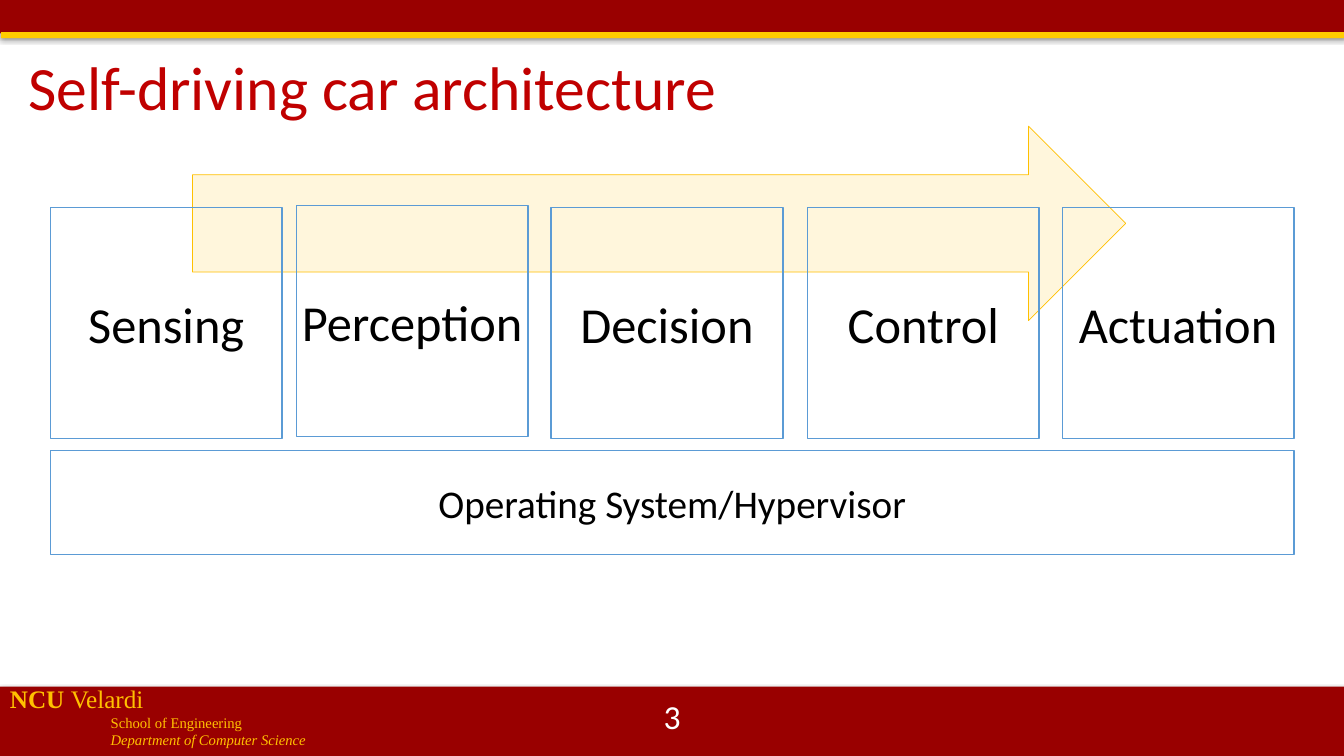
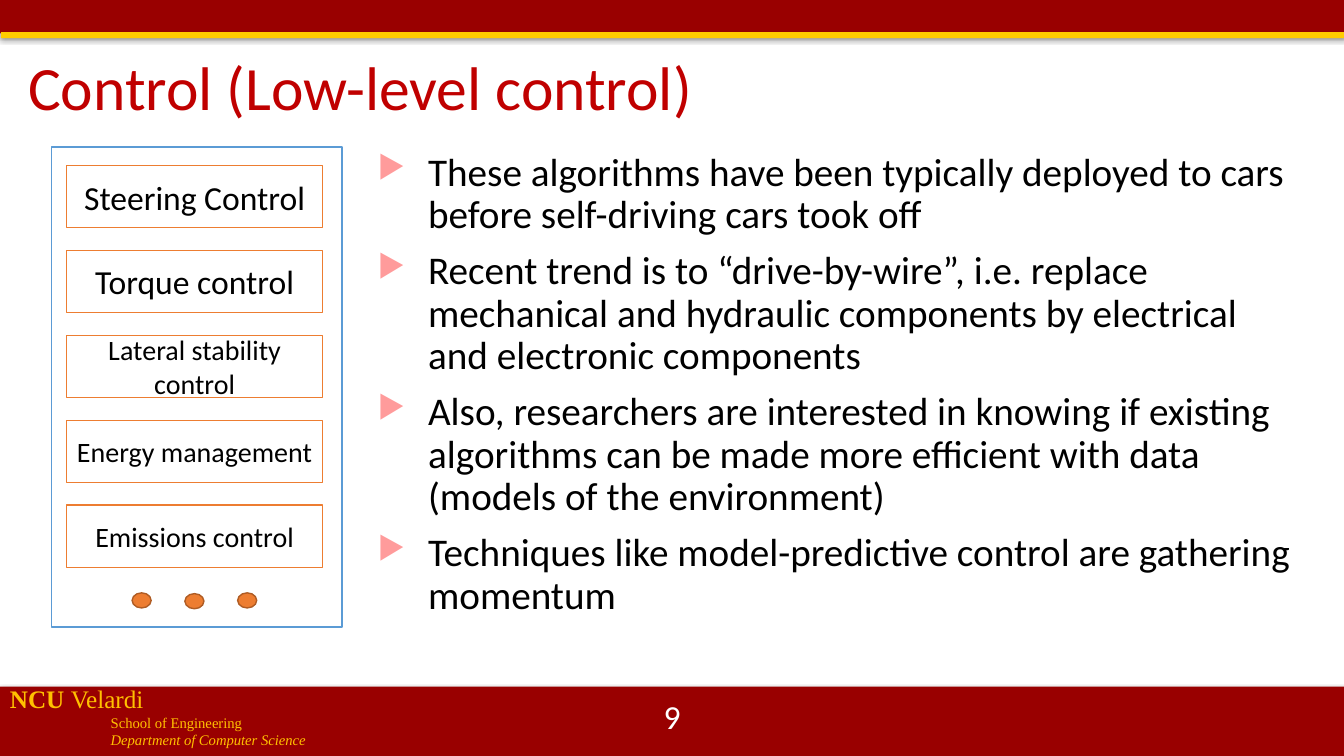
"""Build two slides on self-driving car architecture and low-level control."""
from lxml import etree
from pptx import Presentation
from pptx import util as u
from pptx.dml.color import RGBColor
from pptx.enum import shapes, text
from pptx.oxml import ns

Cm, Pt = u.Cm, u.Pt
COLORS = {
    "cardinal": "990000", "gold": "FFCC00", "footer": "FFC000", "title": "C00000",
    "black": "000000", "white": "FFFFFF", "blue": "5B9BD5", "orange": "ED7D31",
    "dot_edge": "AF5C24", "arrow": "FFF2CC", "bullet": "FF9B9B",
}
BANDS = [
    ((0, 0, 33.87, 0.84), "cardinal", 35, 1.8),
    ((0.03, 0.81, 33.87, 0.15), "gold", 38, 1.6),
    ((0, 17.3, 33.87, 1.75), "cardinal", 35, 1.8),
]
FOOTER = [
    ([("NCU ", True, False), ("Velardi", False, False)], 18, 0),
    ([("School of Engineering", False, False)], 10.5, 2.54),
    ([("Department of Computer Science", False, True)], 10.5, 2.54),
]
STAGES = [
    ("Sensing", 1.27, 5.23, 0.25),
    ("Perception", 7.47, 5.18, 0),
    ("Decision", 13.89, 5.23, 0.25),
    ("Control", 20.35, 5.23, 0.25),
    ("Actuation", 26.77, 5.23, 0.25),
]
PLATFORM = "Operating System/Hypervisor"
CONTROLS = [
    ("Steering Control", 24),
    ("Torque control", 24),
    ("Lateral stability control", 20),
    ("Energy management", 20),
    ("Emissions control", 20),
]
POINTS = [
    "These algorithms have been typically deployed to cars before self-driving cars took off",
    "Recent trend is to “drive-by-wire”, i.e. replace mechanical and hydraulic components "
    "by electrical and electronic components",
    "Also, researchers are interested in knowing if existing algorithms can be made more "
    "efficient with data (models of the environment)",
    "Techniques like model-predictive control are gathering momentum",
]
DOT_TOPS = [14.94, 14.96, 14.94]
RECT = shapes.MSO_SHAPE.RECTANGLE


def rgb(name):
    """Return the named colour."""
    return RGBColor.from_string(COLORS[name])


def add_xml(parent, tag, **attributes):
    """Append a DrawingML element and return it."""
    values = {key: str(value) for key, value in attributes.items()}
    return etree.SubElement(parent, ns.qn(tag), values)


def add_run(paragraph, content, size=28, color="black", font="Calibri", bold=False, italic=False):
    """Add formatted text to a paragraph."""
    run = paragraph.add_run()
    run.text = content
    run.font.name, run.font.size = font, Pt(size)
    run.font.bold, run.font.italic = bold, italic
    run.font.color.rgb = rgb(color)


def add_box(slide, box, kind=RECT, fill=None, line=None, width=1):
    """Add a preset shape without a shadow."""
    shape = slide.shapes.add_shape(kind, *map(Cm, box))
    if fill:
        shape.fill.solid()
        shape.fill.fore_color.rgb = rgb(fill)
    else:
        shape.fill.background()
    if line:
        shape.line.color.rgb = rgb(line)
        shape.line.width = Pt(width)
    else:
        shape.line.fill.background()
    shape.shadow.inherit = False
    return shape


def add_text_box(slide, box):
    """Add a wrapping text box and return its frame."""
    frame = slide.shapes.add_textbox(*map(Cm, box)).text_frame
    frame.word_wrap = True
    return frame


def add_label(frame, content, align=text.PP_ALIGN.CENTER, spacing=None, **style):
    """Put one vertically centred line of text in a frame."""
    frame.word_wrap = True
    frame.vertical_anchor = text.MSO_ANCHOR.MIDDLE
    paragraph = frame.paragraphs[0]
    paragraph.alignment = align
    paragraph.line_spacing = spacing
    add_run(paragraph, content, **style)


def next_paragraph(frame, index):
    """Return the first paragraph, or a new one after it."""
    return frame.add_paragraph() if index else frame.paragraphs[0]


def add_shadow(shape, opacity, distance):
    """Give a shape a soft shadow below it."""
    effects = shape._element.spPr.find(ns.qn("a:effectLst"))
    shadow = add_xml(effects, "a:outerShdw", blurRad=Pt(3.1), dist=Pt(distance),
                     dir=5400000, rotWithShape=0)
    color = add_xml(shadow, "a:srgbClr", val=COLORS["black"])
    add_xml(color, "a:alpha", val=opacity * 1000)


def add_base(presentation, title, number):
    """Add a slide with its bands, footer, title and number."""
    slide = presentation.slides.add_slide(presentation.slide_layouts[6])
    for box, fill, opacity, distance in BANDS:
        add_shadow(add_box(slide, box, fill=fill), opacity, distance)
    frame = add_text_box(slide, (0, 17.09, 15.88, 1.96))
    for index, (runs, size, indent) in enumerate(FOOTER):
        paragraph = next_paragraph(frame, index)
        paragraph._p.get_or_add_pPr().set("marL", str(Cm(indent)))
        for content, bold, italic in runs:
            add_run(paragraph, content, size=size, color="footer",
                    font="Times New Roman", bold=bold, italic=italic)
    add_label(add_text_box(slide, (0.46, 1.19, 30.28, 2.16)), title,
              align=text.PP_ALIGN.LEFT, spacing=0.9, size=44, color="title")
    add_label(add_text_box(slide, (13.13, 17.53, 7.62, 1.02)), number, size=24, color="white")
    return slide


def build_architecture(presentation):
    """Draw the stages over their shared platform."""
    slide = add_base(presentation, "Self-driving car architecture", "3")
    arrow = add_box(slide, (4.85, 3.18, 23.52, 4.9), shapes.MSO_SHAPE.RIGHT_ARROW,
                    fill="arrow", line="footer", width=0.5)
    color = arrow._element.spPr.find(ns.qn("a:solidFill"))[0]
    add_xml(color, "a:alpha", val=67000)
    for name, left, top, margin in STAGES:
        frame = add_box(slide, (left, top, 5.84, 5.82), line="blue").text_frame
        frame.margin_left = frame.margin_right = Cm(margin)
        add_label(frame, name, size=36)
    platform = add_box(slide, (1.27, 11.35, 31.34, 2.62), fill="white", line="blue")
    add_label(platform.text_frame, PLATFORM)


def build_control(presentation):
    """Draw the control stack beside the bullet points."""
    slide = add_base(presentation, "Control (Low-level control)", "9")
    frame = add_text_box(slide, (9.27, 3.71, 23.67, 12.09))
    for index, point in enumerate(POINTS):
        paragraph = next_paragraph(frame, index)
        paragraph.line_spacing, paragraph.space_before = 0.9, Pt(10)
        add_run(paragraph, point)
        properties = paragraph._p.get_or_add_pPr()
        properties.set("marL", str(Cm(1.27)))
        properties.set("indent", str(Cm(-1.27)))
        add_xml(add_xml(properties, "a:buClr"), "a:srgbClr", val=COLORS["bullet"])
        add_xml(properties, "a:buSzPct", val=80000)
        add_xml(properties, "a:buChar", char="▶")
    add_box(slide, (1.3, 3.71, 7.32, 12.09), line="blue")
    for index, (name, size) in enumerate(CONTROLS):
        control = add_box(slide, (1.68, 4.17 + index * 2.14, 6.45, 1.57),
                          fill="white", line="orange")
        add_label(control.text_frame, name, size=size)
    for index, top in enumerate(DOT_TOPS):
        add_box(slide, (3.33 + index * 1.33, top, 0.48, 0.38), shapes.MSO_SHAPE.OVAL,
                fill="orange", line="dot_edge")


def main():
    """Build and save the presentation."""
    presentation = Presentation()
    presentation.slide_width, presentation.slide_height = Cm(33.87), Cm(19.05)
    build_architecture(presentation)
    build_control(presentation)
    presentation.save("out.pptx")


if __name__ == "__main__":
    main()
